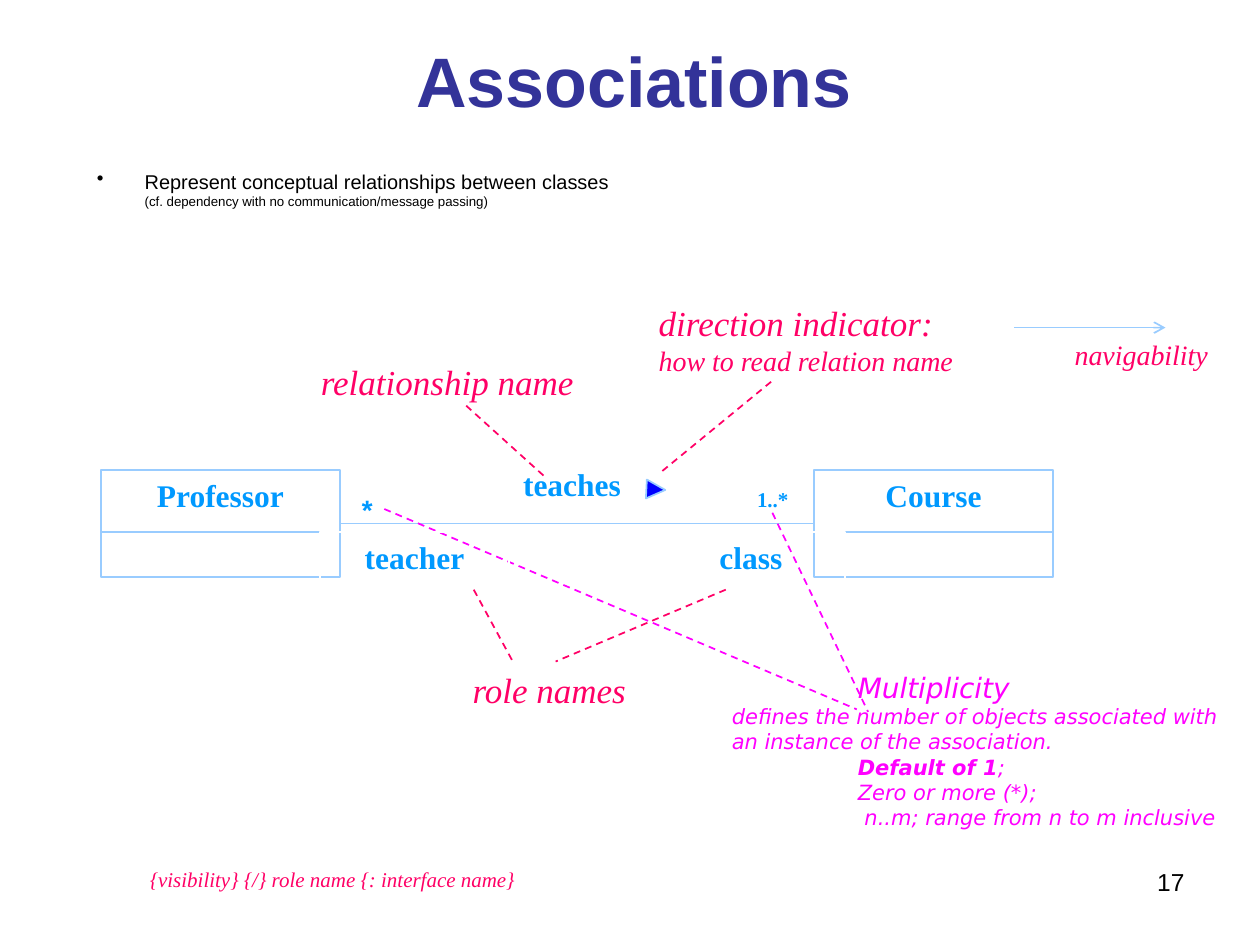
import dataclasses

import lxml.etree
import pptx
import pptx.dml.color
import pptx.enum.dml
import pptx.enum.shapes
import pptx.enum.text
import pptx.oxml
import pptx.oxml.ns
import pptx.util

ALIGN = pptx.enum.text.PP_ALIGN
ANCHOR = pptx.enum.text.MSO_ANCHOR
AUTO_SIZE = pptx.enum.text.MSO_AUTO_SIZE
SHAPE = pptx.enum.shapes.MSO_SHAPE
qualified = pptx.oxml.ns.qn


@dataclasses.dataclass(frozen=True)
class Theme:
    # Colours
    title: str = "333399"
    black: str = "000000"
    white: str = "FFFFFF"
    outline: str = "99CCFF"
    name: str = "0099FF"
    note: str = "FF0066"
    multiplicity: str = "FF00FF"
    marker: str = "0000FF"
    # Fonts
    sans: str = "Arial"
    serif: str = "Times New Roman"
    mono: str = "Courier New"
    wide: str = "DejaVu Sans"
    # Type sizes
    heading: float = 40
    large: float = 20
    class_name: float = 18
    medium: float = 16
    number: float = 14
    small: float = 12
    body: float = 11.4
    aside: float = 7.6


THEME = Theme()
COLUMNS, ROWS = 100, 75
WIDTH, HEIGHT = pptx.util.Inches(10), pptx.util.Inches(7.5)


def column(count):
    return round(WIDTH * count / COLUMNS)


def row(count):
    return round(HEIGHT * count / ROWS)


def area(left, top, width, height):
    return column(left), row(top), column(width), row(height)


def color(value):
    return pptx.dml.color.RGBColor.from_string(value)


def style(size, font, fill, **extra):
    return {"size": size, "name": font, "color": fill, **extra}


NAME = style(THEME.class_name, THEME.serif, THEME.name, bold=True)
NOTE = style(THEME.large, THEME.serif, THEME.note, italic=True)


def add_run(paragraph, text, form):
    run = paragraph.add_run()
    run.text = text
    for key, value in form.items():
        if key == "color":
            run.font.color.rgb = color(value)
        else:
            setattr(run.font, key, pptx.util.Pt(value) if key == "size" else value)


def set_tabs(paragraph, margin=0):
    """Put a left tab stop at every inch from the paragraph's margin."""
    tabs = lxml.etree.SubElement(paragraph._p.get_or_add_pPr(), qualified("a:tabLst"))
    for inch in range(8):
        position = pptx.util.Inches(margin + inch)
        lxml.etree.SubElement(tabs, qualified("a:tab"), pos=str(position), algn="l")


def fill_text(shape, text, form, align=ALIGN.LEFT, **frame_format):
    frame = shape.text_frame
    settings = {"word_wrap": True, "vertical_anchor": ANCHOR.TOP,
                "auto_size": AUTO_SIZE.NONE, **frame_format}
    for key, value in settings.items():
        setattr(frame, key, value)
    paragraph = frame.paragraphs[0]
    paragraph.alignment = align
    add_run(paragraph, text, form)
    return paragraph


def add_label(shapes, place, text, form, align=ALIGN.LEFT, **frame_format):
    box = shapes.add_textbox(*area(*place))
    return fill_text(box, text, form, align, **frame_format)


def add_block(shapes, kind, place, line, line_width=1):
    block = shapes.add_shape(kind, *area(*place))
    block.shadow.inherit = False
    block.fill.background()
    block.line.color.rgb = color(line)
    block.line.width = pptx.util.Pt(line_width)
    return block


def add_line(shapes, start, end, line, dashed=False, arrow=False):
    connector = shapes.add_connector(
        pptx.enum.shapes.MSO_CONNECTOR.STRAIGHT,
        column(start[0]), row(start[1]), column(end[0]), row(end[1]))
    connector.line.color.rgb = color(line)
    connector.line.width = pptx.util.Pt(1)
    if dashed:
        connector.line.dash_style = pptx.enum.dml.MSO_LINE.DASH
    if arrow:
        lxml.etree.SubElement(connector.line._get_or_add_ln(), qualified("a:tailEnd"), type="arrow")
    lxml.etree.SubElement(connector._element.spPr, qualified("a:effectLst"))
    return connector


def add_class(shapes, left, name):
    """A class box with a name and an empty compartment."""
    group = shapes.add_group_shape().shapes
    box = add_block(group, SHAPE.RECTANGLE, (left, 37.3, 19, 8.5), THEME.outline)
    fill_text(box, name, NAME, ALIGN.CENTER)
    add_line(group, (left, 42.2), (left + 19, 42.2), THEME.outline)
    return box


def add_name_box(shapes, left, top, name):
    box = add_block(shapes, SHAPE.RECTANGLE, (left, top, 15, 4), THEME.white)
    fill_text(box, name, NAME, ALIGN.CENTER)


def add_introduction(shapes):
    body = style(THEME.body, THEME.sans, THEME.black)
    first = add_label(shapes, (6.7, 13.5, 92.4, 3.7),
                      "Represent conceptual relationships between classes", body)
    second = shapes[-1].text_frame.add_paragraph()
    indent = pptx.util.Inches(0.38)
    for paragraph, hanging, spacing in ((first, -indent, 0.7), (second, 0, 1.0)):
        paragraph.line_spacing = spacing
        properties = paragraph._p.get_or_add_pPr()
        properties.set("marL", str(indent))
        properties.set("indent", str(hanging))
    lxml.etree.SubElement(first._p.pPr, qualified("a:buChar"), char="•")
    add_run(second, "(cf. dependency with no communication/message passing)",
            {**body, "size": THEME.aside})


def add_multiplicity(shapes):
    form = style(THEME.small, THEME.wide, THEME.multiplicity, italic=True)
    heading = add_label(shapes, (57.1, 52.7, 42.1, 13.7), "\tMultiplicity",
                        {**form, "size": THEME.medium})
    set_tabs(heading)
    frame = shapes[-1].text_frame
    add_run(frame.add_paragraph(), "defines the number of objects associated with "
            "an instance of the association.", form)
    margin = 0.5
    cases = ([("\t", False), ("Default of 1", True), (";", False)],
             [("\tZero or more (*);", False)],
             [("\t n..m; range from n to m inclusive", False)])
    for runs in cases:
        paragraph = frame.add_paragraph()
        paragraph.level = 1
        properties = paragraph._p.get_or_add_pPr()
        properties.set("marL", str(pptx.util.Inches(margin)))
        properties.set("indent", "0")
        set_tabs(paragraph, margin)
        for text, bold in runs:
            add_run(paragraph, text, {**form, "bold": bold})


def main():
    presentation = pptx.Presentation()
    presentation.slide_width, presentation.slide_height = WIDTH, HEIGHT
    slide = presentation.slides.add_slide(presentation.slide_layouts[5])
    shapes = slide.shapes

    # Title
    title = shapes.title
    title.left, title.top, title.width, title.height = area(8, 3.4, 84.6, 5.8)
    fill_text(title, "Associations", style(THEME.heading, THEME.sans, THEME.title, bold=True),
              ALIGN.CENTER, vertical_anchor=ANCHOR.MIDDLE)

    # Classes and their association
    professor = add_class(shapes, 8, "Professor")
    course = add_class(shapes, 64.6, "Course")
    association = add_line(shapes, (27, 41.5), (64.6, 41.5), THEME.outline)
    association.begin_connect(professor, 3)
    association.end_connect(course, 1)
    add_name_box(shapes, 37.9, 36.4, "teaches")
    direction = add_block(shapes, SHAPE.ISOSCELES_TRIANGLE, (51.3, 38.1, 1.5, 1.5), THEME.outline)
    direction.rotation = 93
    direction.fill.solid()
    direction.fill.fore_color.rgb = color(THEME.marker)

    # Relationship name, direction and roles, with their pointers
    add_label(shapes, (22.2, 28.1, 26.6, 4.3), "relationship name", NOTE, ALIGN.CENTER)
    add_line(shapes, (30.5, 40.4), (68, 56.3), THEME.multiplicity, dashed=True)
    indicator = add_label(shapes, (51.3, 23.4, 31.7, 7), "direction indicator:", NOTE)
    indicator.add_line_break()
    add_run(indicator, "how to read relation name", {**NOTE, "size": THEME.medium})
    add_name_box(shapes, 25.4, 42.2, "teacher")
    add_name_box(shapes, 52.1, 42.2, "class")
    add_label(shapes, (30.3, 52.6, 26.6, 4.3), "role names", NOTE, ALIGN.CENTER)
    for start, end in (((61.2, 30.3), (52.3, 37.6)), ((37.6, 46.8), (40.7, 52.5)),
                       ((57.6, 46.8), (44.1, 52.5)), ((37, 32.2), (43.2, 37.8))):
        add_line(shapes, start, end, THEME.note, dashed=True)

    # Multiplicity
    add_multiplicity(shapes)
    many = add_block(shapes, SHAPE.RECTANGLE, (59.1, 38.1, 4.5, 3), THEME.white, 0.75)
    fill_text(many, "1..*", {**NAME, "size": THEME.small}, word_wrap=False)
    add_line(shapes, (61.3, 40.7), (68.9, 56.5), THEME.multiplicity, dashed=True)
    add_label(shapes, (27.5, 38.7, 3.3, 3.7), "*",
              style(THEME.medium, THEME.mono, THEME.name, bold=True), ALIGN.RIGHT, word_wrap=False)

    # Introduction, navigability and footer
    add_introduction(shapes)
    add_line(shapes, (80.5, 26), (92.5, 26), THEME.outline, arrow=True)
    add_label(shapes, (84.3, 26.3, 14.8, 3.6), "navigability", {**NOTE, "size": THEME.medium})
    add_label(shapes, (10.9, 68.3, 33.2, 3), "{visibility} {/} role name {: interface name}",
              {**NOTE, "size": THEME.small})
    add_label(shapes, (71.7, 68.3, 23.3, 5.2), "17",
              style(THEME.number, THEME.sans, THEME.black), ALIGN.RIGHT)

    presentation.save("out.pptx")


if __name__ == "__main__":
    main()
